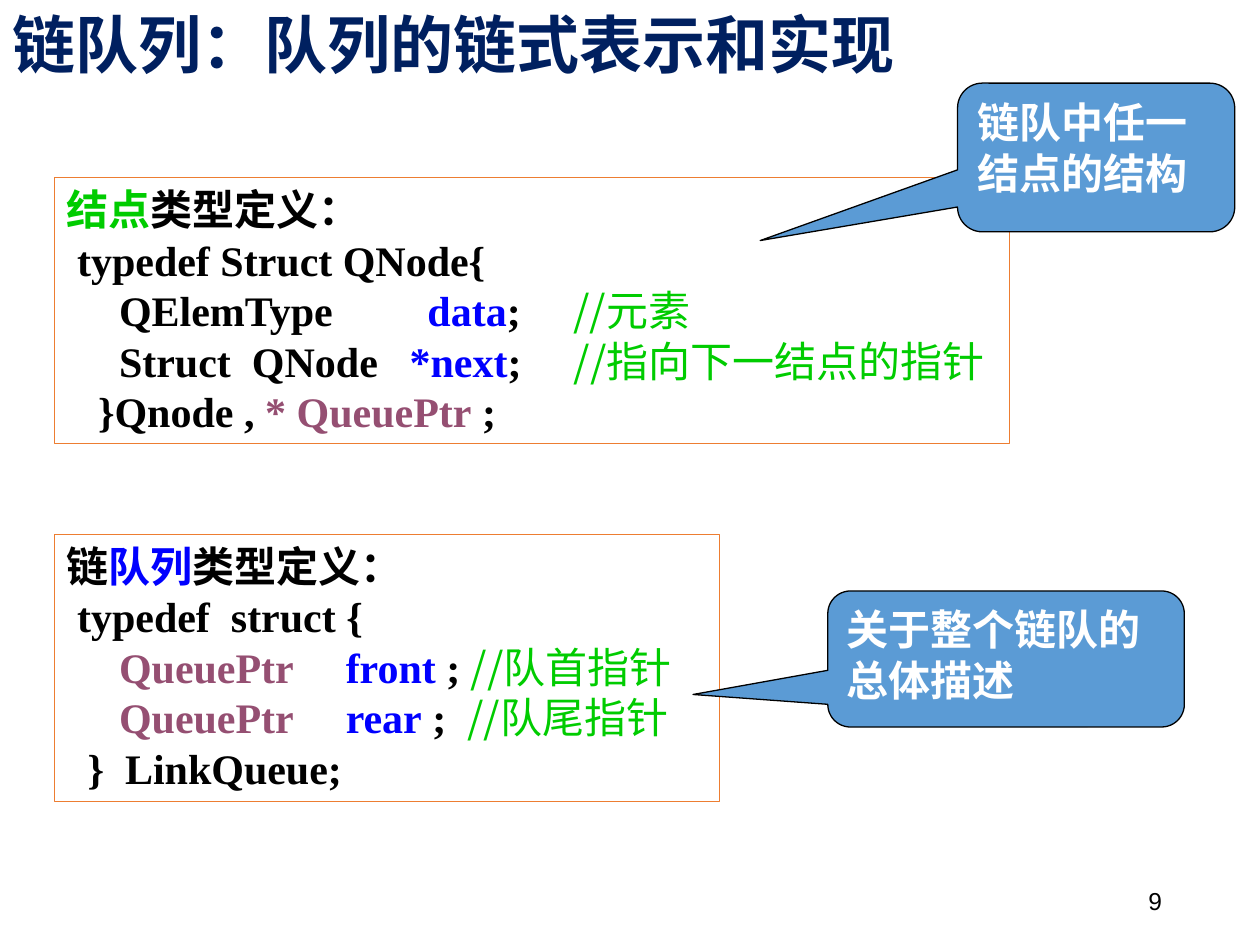
"""Build the slide on the linked representation of a queue."""
from dataclasses import dataclass

from pptx import Presentation
from pptx.dml.color import RGBColor
from pptx.enum.shapes import MSO_SHAPE as Shape
from pptx.enum.text import MSO_ANCHOR as Anchor, MSO_AUTO_SIZE as AutoSize, PP_ALIGN as Align
from pptx.util import Inches, Pt

BLACK = RGBColor(0x00, 0x00, 0x00)
WHITE = RGBColor(0xFF, 0xFF, 0xFF)
NAVY = RGBColor(0x00, 0x20, 0x60)
BLUE = RGBColor(0x00, 0x00, 0xFF)
GREEN = RGBColor(0x00, 0xCC, 0x00)
PLUM = RGBColor(0x95, 0x4F, 0x72)
ORANGE = RGBColor(0xED, 0x7D, 0x31)
SKY = RGBColor(0x5B, 0x9B, 0xD5)
SERIF = "Times New Roman"
SANS = "Noto Sans CJK JP"

Box = tuple[float, float, float, float]
Line = list[tuple[str, RGBColor]]


@dataclass
class CodeBox:
    box: Box
    lines: list[Line]


@dataclass
class Callout:
    box: Box
    tip: tuple[float, float]
    text: str


CODE_BOXES = [
    CodeBox((0.43, 4.24, 5.28, 2.12), [
        [("链", BLACK), ("队列", BLUE), ("类型定义：", BLACK)],
        [(" typedef  struct {", BLACK)],
        [("     QueuePtr     ", PLUM), ("front", BLUE), (" ; ", BLACK), ("//队首指针", GREEN)],
        [("     QueuePtr     ", PLUM), ("rear", BLUE), (" ;  ", BLACK), ("//队尾指针", GREEN)],
        [("  }  LinkQueue;", BLACK)],
    ]),
    CodeBox((0.43, 1.41, 7.58, 2.11), [
        [("结点", GREEN), ("类型定义：", BLACK)],
        [(" typedef Struct QNode{", BLACK)],
        [("     QElemType         ", BLACK), ("data", BLUE), (";     ", BLACK), ("//元素", GREEN)],
        [("     Struct  QNode   ", BLACK), ("*next", BLUE), (";     ", BLACK),
         ("//指向下一结点的指针", GREEN)],
        [("   }Qnode , ", BLACK), ("* QueuePtr", PLUM), (" ;", BLACK)],
    ]),
]
CALLOUTS = [
    Callout((6.57, 4.69, 2.83, 1.08), (-0.878, 0.261), "关于整个链队的总体描述"),
    Callout((7.6, 0.66, 2.2, 1.18), (-1.212, 0.559), "链队中任一结点的结构"),
]


def set_font(font, name: str, size: int, color: RGBColor, bold: bool) -> None:
    font.name, font.size, font.bold = name, Pt(size), bold
    font.color.rgb = color


def add_panel(s, kind, box: Box, outline: RGBColor):
    sp = s.shapes.add_shape(kind, *map(Inches, box))
    sp.shadow.inherit = False
    sp.line.color.rgb = outline
    sp.line.width = Pt(0.75)
    sp.text_frame.word_wrap = True
    sp.text_frame.vertical_anchor = Anchor.TOP
    return sp


def add_code(s, code: CodeBox) -> None:
    sp = add_panel(s, Shape.RECTANGLE, code.box, ORANGE)
    sp.fill.background()
    tf = sp.text_frame
    tf.auto_size = AutoSize.SHAPE_TO_FIT_TEXT
    for i, line in enumerate(code.lines):
        p = tf.add_paragraph() if i else tf.paragraphs[0]
        p.alignment = Align.LEFT
        for text, color in line:
            r = p.add_run()
            r.text = text
            comment = text.startswith("//")
            set_font(r.font, SANS if comment else SERIF, 24, color, not comment)


def add_callout(s, callout: Callout) -> None:
    sp = add_panel(s, Shape.ROUNDED_RECTANGULAR_CALLOUT, callout.box, BLACK)
    sp.fill.solid()
    sp.fill.fore_color.rgb = SKY
    sp.adjustments[0], sp.adjustments[1] = callout.tip
    p = sp.text_frame.paragraphs[0]
    p.text = callout.text
    p.alignment = Align.LEFT
    set_font(p.font, SERIF, 24, WHITE, True)


def add_title(s, text: str) -> None:
    sp = s.shapes.title
    sp.left, sp.top, sp.width, sp.height = map(Inches, (0, 0, 8.15, 0.76))
    tf = sp.text_frame
    tf.auto_size = AutoSize.NONE
    tf.vertical_anchor = Anchor.MIDDLE
    p = tf.paragraphs[0]
    p.text = text
    p.alignment = Align.LEFT
    p.line_spacing = 0.9
    set_font(p.font, SANS, 36, NAVY, True)


def add_page_number(s, number: str) -> None:
    tf = s.shapes.add_textbox(*map(Inches, (7.07, 6.95, 2.25, 0.4))).text_frame
    tf.word_wrap = True
    tf.vertical_anchor = Anchor.MIDDLE
    p = tf.paragraphs[0]
    p.text = number
    p.alignment = Align.RIGHT
    set_font(p.font, "Arial", 14, BLACK, False)


def main() -> None:
    prs = Presentation()
    prs.slide_width, prs.slide_height = Inches(10), Inches(7.5)
    s = prs.slides.add_slide(prs.slide_layouts[5])
    for code in CODE_BOXES:
        add_code(s, code)
    for callout in CALLOUTS:
        add_callout(s, callout)
    add_title(s, "链队列：队列的链式表示和实现")
    add_page_number(s, "9")
    prs.save("out.pptx")


if __name__ == "__main__":
    main()
